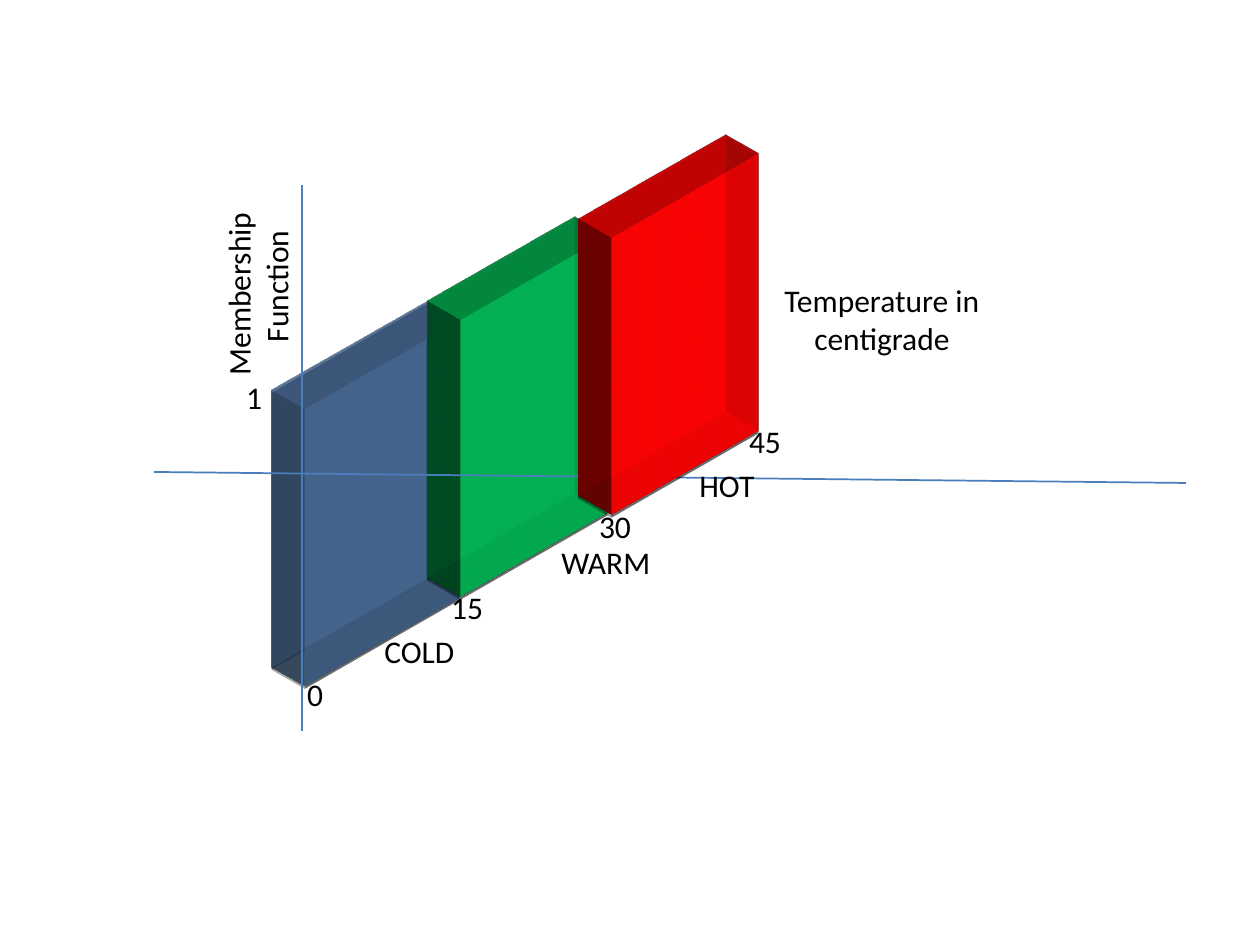
from dataclasses import dataclass

from lxml.etree import SubElement
from pptx import Presentation
from pptx.dml.color import RGBColor
from pptx.enum.shapes import MSO_CONNECTOR, MSO_SHAPE
from pptx.enum.text import PP_ALIGN
from pptx.oxml import parse_xml
from pptx.oxml.ns import nsdecls, qn
from pptx.util import Emu, Pt

PX = 914400 // 126
FONT = "Calibri"
BLACK = RGBColor(0x00, 0x00, 0x00)
AXIS_BLUE = RGBColor(0x4B, 0x7E, 0xBC)
COLD_BLUE = RGBColor(0x37, 0x60, 0x92)
WARM_GREEN = RGBColor(0x00, 0xB0, 0x50)
HOT_RED = RGBColor(0xFF, 0x00, 0x00)

SLAB_HEIGHT = 338
SLAB_DEPTH = 47

SHADOW = f"""<a:effectLst {nsdecls('a')}>
  <a:outerShdw blurRad="40000" dist="23000" dir="5400000" rotWithShape="0">
    <a:srgbClr val="000000"><a:alpha val="35000"/></a:srgbClr>
  </a:outerShdw>
</a:effectLst>"""
SCENE = f"""<a:scene3d {nsdecls('a')}>
  <a:camera prst="isometricRightUp"/>
  <a:lightRig rig="threePt" dir="t"/>
</a:scene3d>"""
EXTRUSION = f"""<a:sp3d {nsdecls('a')} extrusionH="{SLAB_DEPTH * PX}"/>"""


@dataclass(frozen=True)
class Slab:
    left: int
    top: int
    width: int
    color: RGBColor
    opacity: int


@dataclass(frozen=True)
class Label:
    text: str
    left: int
    top: int
    width: int
    height: int = 50
    align: PP_ALIGN | None = PP_ALIGN.CENTER


COLD = Slab(273, 334, 218, COLD_BLUE, 33)
WARM = Slab(430, 247, 208, WARM_GREEN, 60)
HOT = Slab(581, 165, 208, HOT_RED, 60)

LABELS = [
    Label("COLD", 372, 626, 110, align=None),
    Label("WARM", 549, 537, 121, align=None),
    Label("HOT", 687, 460, 110, align=None),
    Label("0", 281, 669, 68),
    Label("15", 433, 582, 68),
    Label("30", 581, 501, 68),
    Label("45", 731, 416, 68),
    Label("1", 233, 372, 42),
    Label("Temperature in centigrade", 748, 275, 268, 89),
]

prs = Presentation()
prs.slide_width, prs.slide_height = Emu(1260 * PX), Emu(945 * PX)
slide = prs.slides.add_slide(prs.slide_layouts[6])


def add_axis(start: tuple[int, int], end: tuple[int, int]) -> None:
    axis = slide.shapes.add_connector(
        MSO_CONNECTOR.STRAIGHT, *(Emu(v * PX) for v in start + end))
    axis.line.color.rgb = AXIS_BLUE
    axis.line.width = Pt(1)
    SubElement(axis._element.spPr, qn("a:effectLst"))


def add_slab(slab: Slab) -> None:
    """Draw a translucent rectangle extruded in isometric view."""
    block = slide.shapes.add_shape(
        MSO_SHAPE.RECTANGLE,
        *(Emu(v * PX) for v in (slab.left, slab.top, slab.width, SLAB_HEIGHT)))
    block.fill.solid()
    block.fill.fore_color.rgb = slab.color
    block.line.fill.background()
    properties = block._element.spPr
    color = properties.find(qn("a:solidFill"))[0]
    SubElement(color, qn("a:alpha"), val=str(slab.opacity * 1000))
    for effect in (SHADOW, SCENE, EXTRUSION):
        properties.append(parse_xml(effect))


def add_label(label: Label) -> None:
    box = slide.shapes.add_textbox(
        *(Emu(v * PX) for v in (label.left, label.top, label.width, label.height)))
    box.text_frame.word_wrap = True
    box.text_frame.text = label.text
    for paragraph in box.text_frame.paragraphs:
        paragraph.alignment = label.align
        for run in paragraph.runs:
            run.font.name = FONT
            run.font.size = Pt(18)
            run.font.color.rgb = BLACK
    return box


# Cold and warm slabs, then the axes, with the hot slab in front
add_slab(COLD)
add_slab(WARM)
add_axis((154, 472), (1186, 483))
add_axis((302, 731), (302, 185))
add_slab(HOT)

# Labels
for label in LABELS:
    add_label(label)

# Vertical axis title
membership = add_label(Label("Membership \nFunction", 213, 185, 102, 203)).text_frame
membership.word_wrap = False
membership._txBody.bodyPr.set("vert", "vert270")
membership.paragraphs[0].alignment = PP_ALIGN.LEFT

prs.save("out.pptx")
